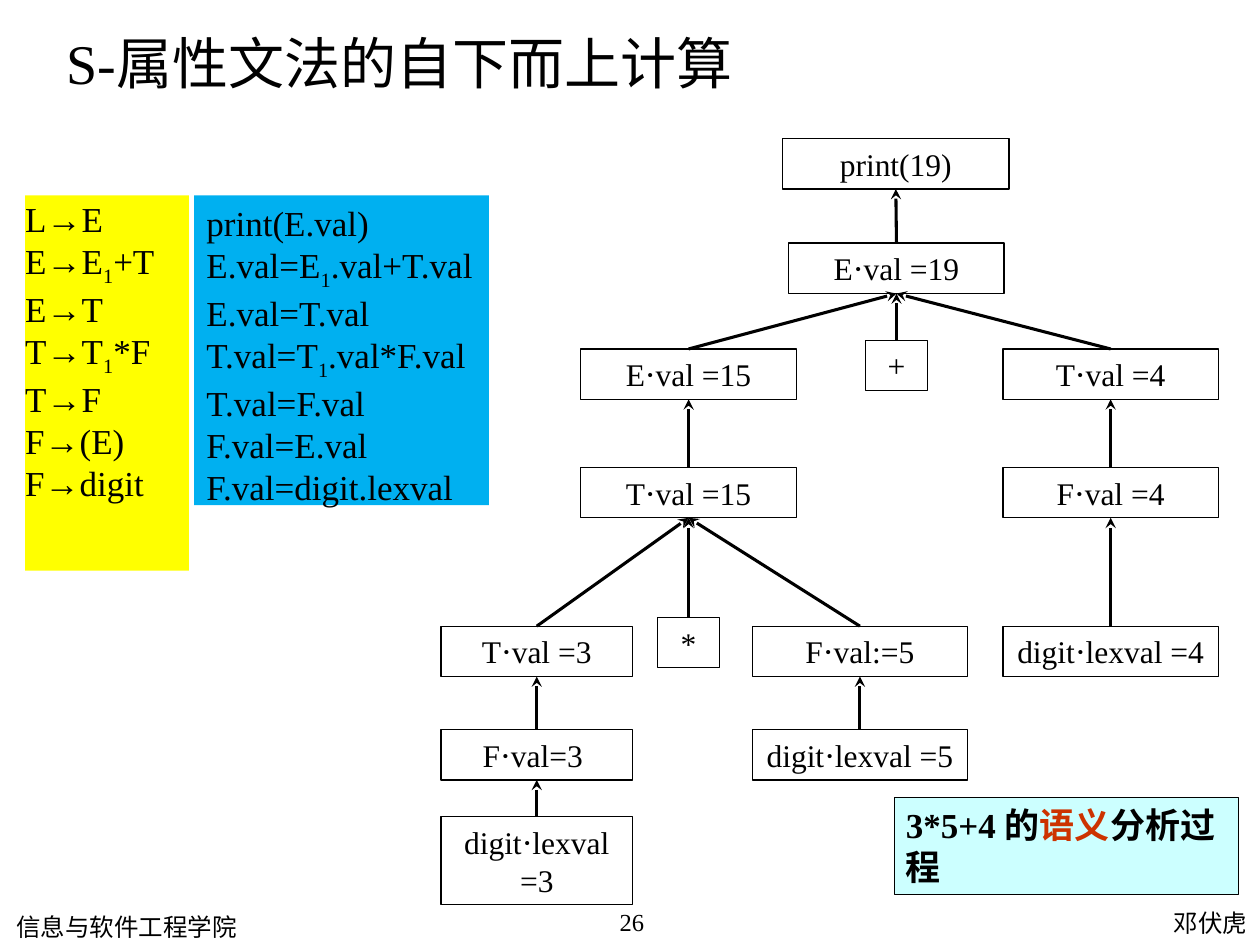
import pptx
import pptx.util
import pptx.oxml.ns
import pptx.dml.color
import pptx.enum.shapes
import pptx.enum.text
import lxml.etree
from dataclasses import dataclass

SCALE = 9144  # EMU in one px, 100 px to the inch
ALIGN = pptx.enum.text.PP_ALIGN
ANCHOR = pptx.enum.text.MSO_ANCHOR
KIND = pptx.enum.shapes.MSO_SHAPE
LINK = pptx.enum.shapes.MSO_CONNECTOR


@dataclass
class Theme:
    ink: str = "000000"
    paper: str = "FFFFFF"
    rule: str = "FFFF00"
    action: str = "00B0F0"
    note: str = "CCFFFF"
    accent: str = "CC3300"
    serif: str = "Times New Roman"
    sans: str = "Noto Sans CJK SC"
    title: int = 32
    body: int = 20
    node: int = 18
    foot: int = 14


def px(num):
    return pptx.util.Emu(num * SCALE)


def rgb(code):
    return pptx.dml.color.RGBColor.from_string(code)


def apply(item, vals):
    for name, val in vals.items():
        setattr(item, name, val)


class Board:
    def __init__(self, deck, theme):
        self.theme = theme
        self.slide = deck.slides.add_slide(deck.slide_layouts[6])

    def letter(self, shape, lines, size, font=None, align=ALIGN.LEFT,
               bold=False, accent=False, **frame):
        """Text between ~ marks is a subscript, or accented if asked."""
        text = shape.text_frame
        apply(text, {"word_wrap": True, "vertical_anchor": ANCHOR.TOP, **frame})
        for row, line in enumerate(lines):
            para = text.add_paragraph() if row else text.paragraphs[0]
            para.alignment = align
            for part, words in enumerate(line.split("~")):
                run = para.add_run()
                run.text = words
                apply(run.font, {"name": font or self.theme.serif,
                                 "size": pptx.util.Pt(size), "bold": bold})
                marked = part % 2 == 1
                tone = self.theme.accent if marked and accent else self.theme.ink
                run.font.color.rgb = rgb(tone)
                if marked and not accent:
                    run._r.get_or_add_rPr().set("baseline", "-25000")

    def label(self, area, words, size, **style):
        box = self.slide.shapes.add_textbox(*map(px, area))
        self.letter(box, [words], size, **style)

    def panel(self, area, lines, size, fill, line=0, **style):
        box = self.slide.shapes.add_shape(KIND.RECTANGLE, *map(px, area))
        box.shadow.inherit = False
        box.fill.solid()
        box.fill.fore_color.rgb = rgb(fill)
        if line:
            box.line.color.rgb = rgb(self.theme.ink)
            box.line.width = pptx.util.Pt(line)
        else:
            box.line.fill.background()
        self.letter(box, lines, size, **style)
        return box

    def arrow(self, child, parent):
        link = self.slide.shapes.add_connector(LINK.STRAIGHT, 0, 0, 0, 0)
        link.begin_connect(child, 0)  # top edge
        link.end_connect(parent, 2)   # bottom edge
        link.line.color.rgb = rgb(self.theme.ink)
        link.line.width = pptx.util.Pt(1.75)
        tag = pptx.oxml.ns.qn
        props = link._element.spPr
        lxml.etree.SubElement(props.find(tag("a:ln")), tag("a:tailEnd"),
                              type="stealth")
        lxml.etree.SubElement(props, tag("a:effectLst"))


# Grammar rules and their actions
RULES = ["L→E", "E→E~1~+T", "E→T", "T→T~1~*F", "T→F", "F→(E)", "F→digit"]
ACTS = ["print(E.val)", "E.val=E~1~.val+T.val", "E.val=T.val",
        "T.val=T~1~.val*F.val", "T.val=F.val", "F.val=E.val",
        "F.val=digit.lexval"]

# Tree columns are centres; rows are top edges
FAR, LEFT, MID, ROOT, RIGHT = 426, 546, 682, 711, 881
ROWS = 110, 193, 277, 371, 497, 579, 648
WIDE, SLIM, MARK = 171, 152, 49

# key: text, column, top, width, parent
TREE = {
    "print": ("print(19)", ROOT, ROWS[0], 180, None),
    "sum": ("E⋅val =19", ROOT, ROWS[1], WIDE, "print"),
    "E15": ("E⋅val =15", LEFT, ROWS[2], WIDE, "sum"),
    "plus": ("+", ROOT, 270, MARK, "sum"),
    "T4": ("T⋅val =4", RIGHT, ROWS[2], WIDE, "sum"),
    "T15": ("T⋅val =15", LEFT, ROWS[3], WIDE, "E15"),
    "F4": ("F⋅val =4", RIGHT, ROWS[3], WIDE, "T4"),
    "T3": ("T⋅val =3", FAR, ROWS[4], SLIM, "T15"),
    "times": ("*", LEFT, 490, MARK, "T15"),
    "F5": ("F⋅val:=5", MID, ROWS[4], WIDE, "T15"),
    "lex4": ("digit⋅lexval =4", RIGHT, ROWS[4], WIDE, "F4"),
    "F3": ("F⋅val=3 ", FAR, ROWS[5], SLIM, "T3"),
    "lex5": ("digit⋅lexval =5", MID, ROWS[5], WIDE, "F5"),
    "lex3": ("digit⋅lexval =3", FAR, ROWS[6], SLIM, "F3"),
}


def main():
    deck = pptx.Presentation()
    apply(deck, {"slide_width": px(1000), "slide_height": px(750)})
    theme = Theme()
    board = Board(deck, theme)

    # Title
    board.label((43, 18, 716, 73), "S-属性文法的自下而上计算", theme.title)

    # Rule and action panels
    board.panel((20, 155, 130, 298), RULES, theme.body, theme.rule,
                margin_left=0, margin_right=0, margin_top=px(2), margin_bottom=0)
    board.panel((154, 155, 234, 246), ACTS, theme.body, theme.action,
                word_wrap=False)

    # Tree boxes, then arrows from child to parent
    nodes = {}
    for key, (words, col, top, wide, _) in TREE.items():
        high = 70 if key == "lex3" else 40
        nodes[key] = board.panel(
            (col - wide // 2, top, wide, high), [words], theme.node,
            theme.paper, line=0.75, align=ALIGN.CENTER,
            vertical_anchor=ANCHOR.MIDDLE, margin_left=px(9), margin_right=px(9))
    for key, (*_, up) in TREE.items():
        if up:
            board.arrow(nodes[key], nodes[up])

    # Note
    board.panel((710, 633, 273, 77), ["3*5+4 的~语义~分析过程"], theme.body,
                theme.note, line=0.25, bold=True, accent=True,
                margin_left=px(9), margin_right=px(9))

    # Footer
    board.label((586, 716, 414, 40), "邓伏虎", theme.foot, font=theme.sans,
                align=ALIGN.RIGHT)
    board.label((3, 719, 414, 40), "信息与软件工程学院", theme.foot,
                font=theme.sans)
    board.label((438, 715, 127, 40), "26", theme.foot, align=ALIGN.CENTER)

    deck.save("out.pptx")


if __name__ == "__main__":
    main()
